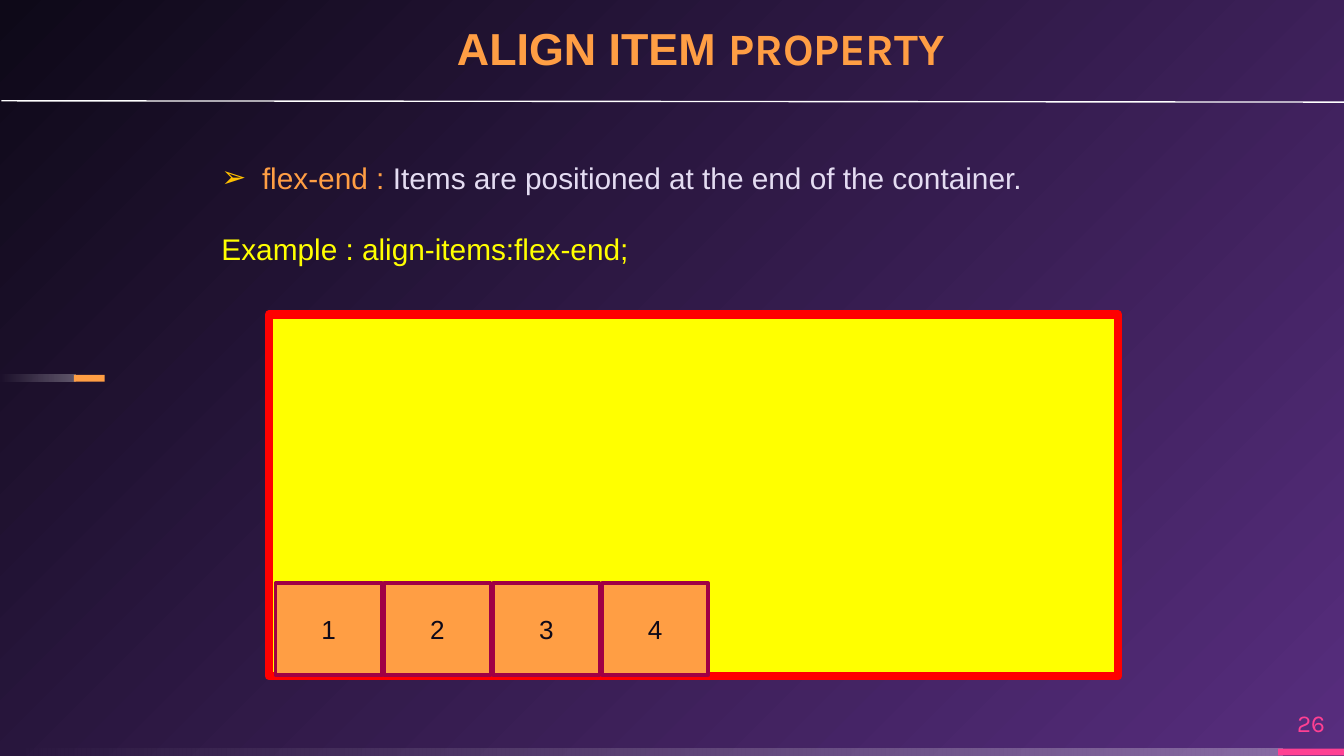
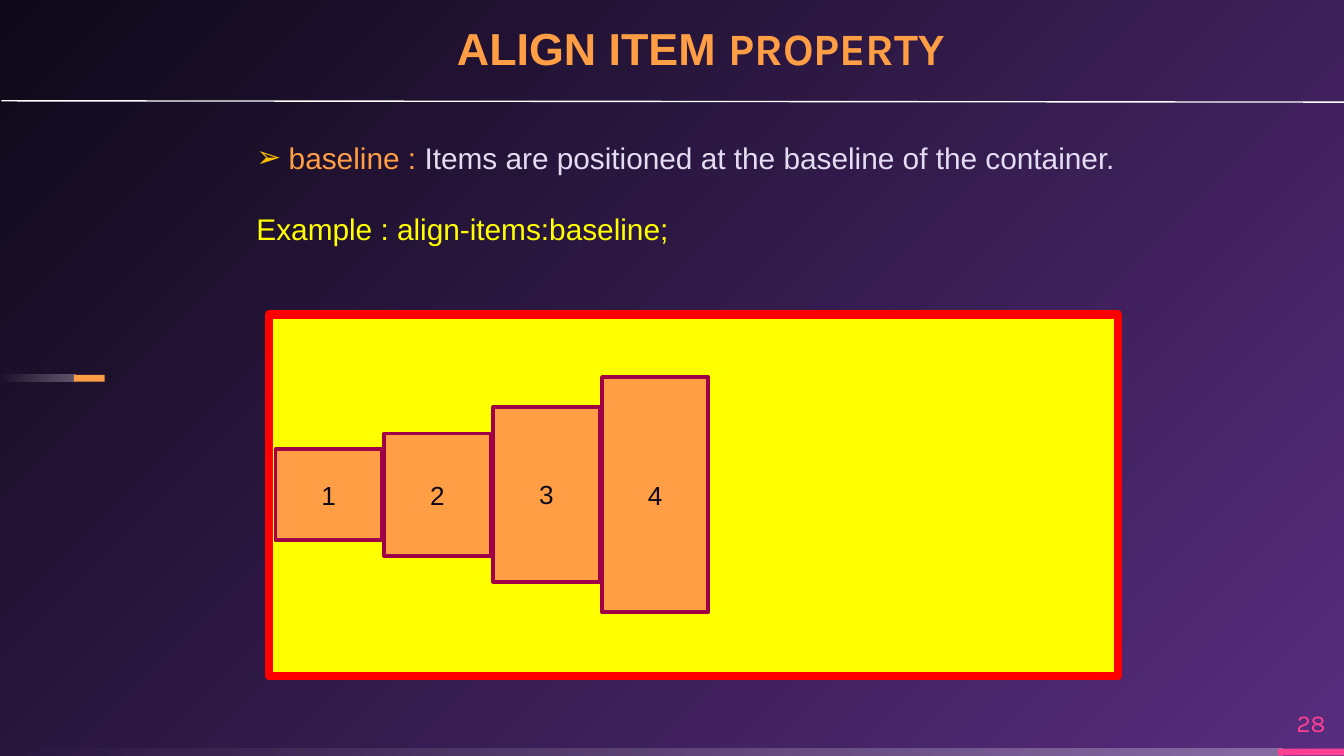
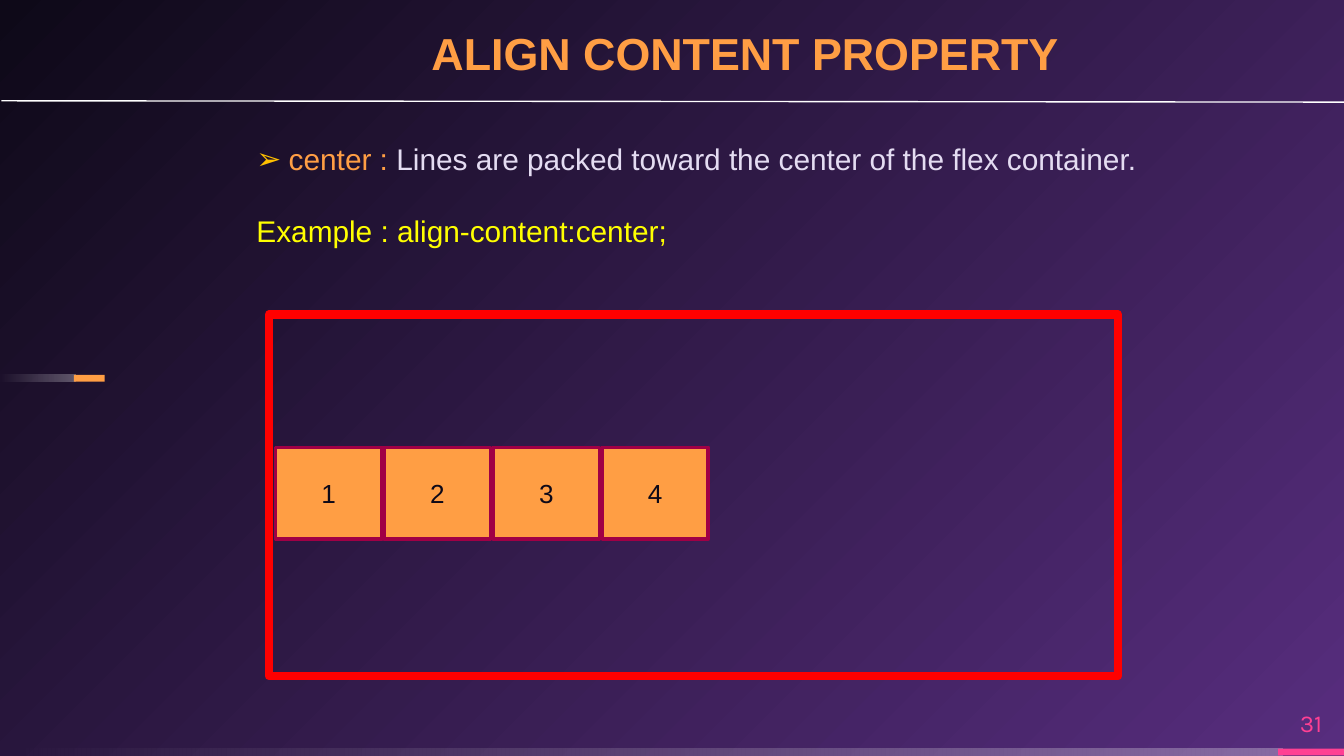
from dataclasses import dataclass

from lxml import etree
from pptx import Presentation
from pptx.dml.color import RGBColor
from pptx.enum.shapes import MSO_CONNECTOR, MSO_SHAPE
from pptx.enum.text import MSO_ANCHOR, MSO_AUTO_SIZE, PP_ALIGN
from pptx.oxml.ns import qn
from pptx.util import Inches, Pt


@dataclass(frozen=True)
class Theme:
    night: str = "0E0918"
    violet: str = "572D7E"
    white: str = "FFFFFF"
    pink: str = "FF4093"
    orange: str = "FF9E44"
    lilac: str = "E4DCF2"
    yellow: str = "FFFF00"
    red: str = "FF0000"
    plum: str = "A00045"
    amber: str = "FFC000"
    body_font: str = "Arial"
    accent_font: str = "Karla"
    title_size: int = 24
    body_size: int = 16
    item_size: int = 14
    number_size: int = 13


def place(left, top, width, height):
    return Inches(left), Inches(top), Inches(width), Inches(height)


def style(font, name, size, color, bold=None):
    font.name = name
    font.size = Pt(size)
    font.color.rgb = RGBColor.from_string(color)
    font.bold = bold


def set_gradient(fill, colors):
    fill.gradient()
    for stop, color, position in zip(fill.gradient_stops, colors, (0, 1)):
        stop.color.rgb = RGBColor.from_string(color)
        stop.position = position


class Deck:
    def __init__(self, theme):
        self.theme = theme
        self.prs = Presentation()
        self.prs.slide_width = Inches(10)
        self.prs.slide_height = Inches(10 * 9 / 16)
        self.slide = None
        self.paint_background()

    def paint_background(self):
        master = self.prs.slide_master
        set_gradient(master.background.fill, (self.theme.violet, self.theme.night))
        gradient = master._element.find(".//" + qn("a:gradFill"))
        gradient.remove(gradient.find(qn("a:lin")))
        circle = etree.SubElement(gradient, qn("a:path"), {"path": "circle"})
        etree.SubElement(circle, qn("a:fillToRect"), {"l": "100000", "t": "100000"})

    def new_slide(self, number):
        self.slide = self.prs.slides.add_slide(self.prs.slide_layouts[6])
        self.fading_bar(0, 5.57, 9.54)
        self.box(MSO_SHAPE.RECTANGLE, (9.51, 5.57, 0.49, 0.05), self.theme.pink)
        self.fading_bar(0, 2.79, 0.56)
        self.box(MSO_SHAPE.RECTANGLE, (0.55, 2.79, 0.23, 0.05), self.theme.orange)
        self.rule((0.01, 0.75), (10.14, 0.76))
        self.page_number(number)

    def box(self, preset, area, fill=None, line=None, weight=0):
        shape = self.slide.shapes.add_shape(preset, *place(*area))
        shape.shadow.inherit = False
        if fill:
            shape.fill.solid()
            shape.fill.fore_color.rgb = RGBColor.from_string(fill)
        else:
            shape.fill.background()
        if line:
            shape.line.color.rgb = RGBColor.from_string(line)
            shape.line.width = Pt(weight)
        else:
            shape.line.fill.background()
        return shape

    def fading_bar(self, left, top, width):
        bar = self.box(MSO_SHAPE.RECTANGLE, (left, top, width, 0.05))
        set_gradient(bar.fill, (self.theme.white, self.theme.white))
        bar.fill.gradient_angle = 180
        stops = bar._element.iter(qn("a:srgbClr"))
        for color, alpha in zip(stops, ("30000", "0")):
            etree.SubElement(color, qn("a:alpha"), {"val": alpha})

    def rule(self, start, end):
        line = self.slide.shapes.add_connector(
            MSO_CONNECTOR.STRAIGHT, *map(Inches, start + end))
        line.line.color.rgb = RGBColor.from_string(self.theme.white)
        line.line.width = Pt(0.75)
        etree.SubElement(line._element.spPr, qn("a:effectLst"))

    def text_frame(self, area, anchor=MSO_ANCHOR.TOP, inset=True):
        frame = self.slide.shapes.add_textbox(*place(*area)).text_frame
        frame.word_wrap = True
        frame.vertical_anchor = anchor
        if not inset:
            frame.margin_left = frame.margin_right = 0
            frame.margin_top = frame.margin_bottom = 0
        return frame

    def page_number(self, number):
        frame = self.text_frame((9.51, 5.19, 0.49, 0.38), MSO_ANCHOR.MIDDLE, False)
        paragraph = frame.paragraphs[0]
        paragraph.text = str(number)
        paragraph.alignment = PP_ALIGN.CENTER
        style(paragraph.font, self.theme.accent_font, self.theme.number_size,
              self.theme.pink)

    def title(self, area, text, accent=""):
        frame = self.text_frame(area, MSO_ANCHOR.BOTTOM, False)
        heading = frame.paragraphs[0]
        style(heading.font, self.theme.body_font, self.theme.title_size,
              self.theme.orange, True)
        heading.add_run().text = text
        if accent:
            heading.line_spacing = 0.9
            ending = heading.add_run()
            ending.text = accent
            ending.font.name = self.theme.accent_font

    def definition(self, area, term, meaning, example):
        theme = self.theme
        frame = self.text_frame(area)
        frame.auto_size = MSO_AUTO_SIZE.SHAPE_TO_FIT_TEXT
        entry = frame.paragraphs[0]
        style(entry.font, theme.body_font, theme.body_size, theme.lilac)
        name = entry.add_run()
        name.text = term
        name.font.color.rgb = RGBColor.from_string(theme.orange)
        entry.add_run().text = meaning
        self.bullet(entry)
        sample = frame.add_paragraph()
        sample.text = f"Example : {example}"
        sample.space_before = Pt(19)
        style(sample.font, theme.body_font, theme.body_size, theme.yellow)

    def bullet(self, paragraph):
        indent = Inches(0.24)
        properties = paragraph._p.get_or_add_pPr()
        properties.set("marL", str(indent))
        properties.set("indent", str(-indent))
        color = etree.Element(qn("a:buClr"))
        etree.SubElement(color, qn("a:srgbClr"), {"val": self.theme.amber})
        font = etree.Element(qn("a:buFont"), {"typeface": self.theme.body_font})
        mark = etree.Element(qn("a:buChar"), {"char": "➢"})
        defaults = properties.find(qn("a:defRPr"))
        for part in (color, font, mark):
            defaults.addprevious(part)

    def flex_container(self, middle, heights, fill=None):
        theme = self.theme
        self.box(MSO_SHAPE.FLOWCHART_PROCESS, (2, 2.34, 6.32, 2.69),
                 fill, theme.red, 4.5)
        for index, height in enumerate(heights):
            area = (2.05 + 0.81 * index, middle - height / 2, 0.79, height)
            item = self.box(MSO_SHAPE.FLOWCHART_PROCESS, area,
                            theme.orange, theme.plum, 2)
            item.text_frame.vertical_anchor = MSO_ANCHOR.MIDDLE
            label = item.text_frame.paragraphs[0]
            label.text = str(index + 1)
            label.alignment = PP_ALIGN.CENTER
            style(label.font, theme.body_font, theme.item_size, theme.night)


def main():
    theme = Theme()
    deck = Deck(theme)
    align_item = ((3.4, 0.13, 4.26, 0.43), "ALIGN ITEM ", "PROPERTY")
    equal_heights = [0.68] * 4

    deck.new_slide(26)
    deck.title(*align_item)
    deck.definition((1.55, 1.14, 7.03, 0.91), " flex-end : ",
                    "Items are positioned at the end of the container.",
                    "align-items:flex-end;")
    deck.flex_container(4.68, equal_heights, theme.yellow)

    deck.new_slide(28)
    deck.title(*align_item)
    deck.definition((1.81, 0.99, 6.85, 1.45), "baseline : ",
                    "Items are positioned at the baseline of the container.",
                    "align-items:baseline;")
    deck.flex_container(3.68, [0.68, 0.91, 1.3, 1.75], theme.yellow)

    deck.new_slide(31)
    deck.title((3.21, 0.16, 5.69, 0.43), "ALIGN CONTENT PROPERTY")
    deck.definition((1.81, 1, 7.22, 0.91), "center :",
                    " Lines are packed toward the center of the flex container.",
                    "align-content:center;")
    deck.flex_container(3.67, equal_heights)

    deck.prs.save("out.pptx")


if __name__ == "__main__":
    main()
